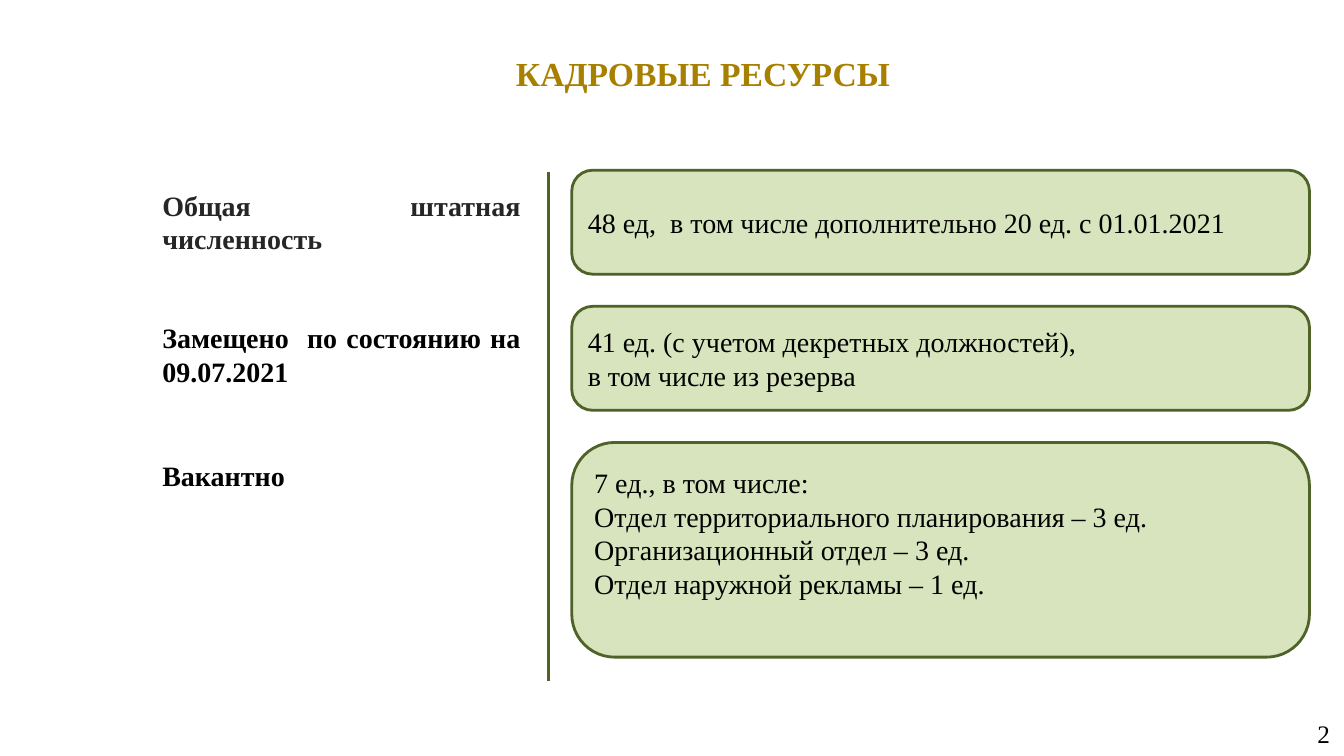
from dataclasses import dataclass

from lxml import etree
from pptx import Presentation
from pptx import util as u
from pptx.dml.color import RGBColor
from pptx.enum import shapes, text
from pptx.oxml.ns import qn


@dataclass(frozen=True)
class Theme:
    font: str = "Times New Roman"
    gold: str = "A88000"
    gray: str = "262626"
    black: str = "000000"
    fill: str = "D7E4BD"
    edge: str = "4F6228"
    line: float = 2
    title: int = 24
    body: int = 20
    page: int = 18


THEME = Theme()
LEFT, RIGHT, CENTER, JUST = (
    text.PP_ALIGN.LEFT, text.PP_ALIGN.RIGHT,
    text.PP_ALIGN.CENTER, text.PP_ALIGN.JUSTIFY)
TOP, MIDDLE = text.MSO_ANCHOR.TOP, text.MSO_ANCHOR.MIDDLE

GAP = 0.81
ROWS = [
    ("Общая штатная численность", THEME.gray, 0.33, 1.93,
     "48 ед,  в том числе дополнительно 20 ед. с 01.01.2021", 2.62, 0.13),
    ("Замещено  по состоянию на 09.07.2021", THEME.black, 0.23, 1.93,
     "41 ед. (с учетом декретных должностей),\nв том числе из резерва",
     2.62, 0.13),
    ("Вакантно", THEME.black, 0.28, 1.09,
     "7 ед., в том числе:\n"
     "Отдел территориального планирования – 3 ед.\n"
     "Организационный отдел – 3 ед.\n"
     "Отдел наружной рекламы – 1 ед.", 5.41, 0.98),
]


def write(shape, words, size, color, align, anchor, pad, base, bold=False):
    frame = shape.text_frame
    frame.word_wrap = True
    frame.vertical_anchor = anchor
    frame.margin_left = frame.margin_right = u.Cm(pad)
    frame.margin_top = u.Cm(pad / 2)
    frame.margin_bottom = u.Cm(base)
    frame.text = words
    for para in frame.paragraphs:
        para.alignment = align
        for run in para.runs:
            run.font.name = THEME.font
            run.font.size = u.Pt(size)
            run.font.bold = bold
            run.font.color.rgb = RGBColor.from_string(color)


def add_text(slide, place, words, size, color, align,
             anchor=TOP, pad=0.25, bold=False):
    box = slide.shapes.add_textbox(*map(u.Cm, place))
    write(box, words, size, color, align, anchor, pad, pad / 2, bold)


def add_card(slide, place, words, base):
    card = slide.shapes.add_shape(
        shapes.MSO_SHAPE.ROUNDED_RECTANGLE, *map(u.Cm, place))
    card.shadow.inherit = False
    card.adjustments[0] = 0.2
    card.fill.solid()
    card.fill.fore_color.rgb = RGBColor.from_string(THEME.fill)
    card.line.color.rgb = RGBColor.from_string(THEME.edge)
    card.line.width = u.Pt(THEME.line)
    write(card, words, THEME.body, THEME.black, LEFT, MIDDLE, 0.25, base)


def add_rule(slide, left, top, end):
    rule = slide.shapes.add_connector(
        shapes.MSO_CONNECTOR.STRAIGHT,
        u.Cm(left), u.Cm(top), u.Cm(left), u.Cm(end))
    rule.line.color.rgb = RGBColor.from_string(THEME.edge)
    rule.line.width = u.Pt(THEME.line)
    etree.SubElement(rule._element.spPr, qn("a:effectLst"))


def main():
    deck = Presentation()
    deck.slide_width, deck.slide_height = u.Cm(33.87), u.Cm(19.05)
    slide = deck.slides.add_slide(deck.slide_layouts[6])

    add_text(slide, (4.19, 1.17, 27.05, 1.35), "КАДРОВЫЕ РЕСУРСЫ",
             THEME.title, THEME.gold, CENTER, pad=0.34, bold=True)
    add_rule(slide, 13.82, 4.34, 17.15)

    top = 4.29
    for label, color, drop, tall, words, height, base in ROWS:
        add_text(slide, (3.84, top + drop, 9.53, tall), label,
                 THEME.body, color, JUST, bold=True)
        add_card(slide, (14.41, top, 18.59, height), words, base)
        top += height + GAP

    add_text(slide, (25.96, 17.96, 7.9, 1.02), "2",
             THEME.page, THEME.black, RIGHT, MIDDLE, pad=0.34)
    deck.save("out.pptx")


if __name__ == "__main__":
    main()
